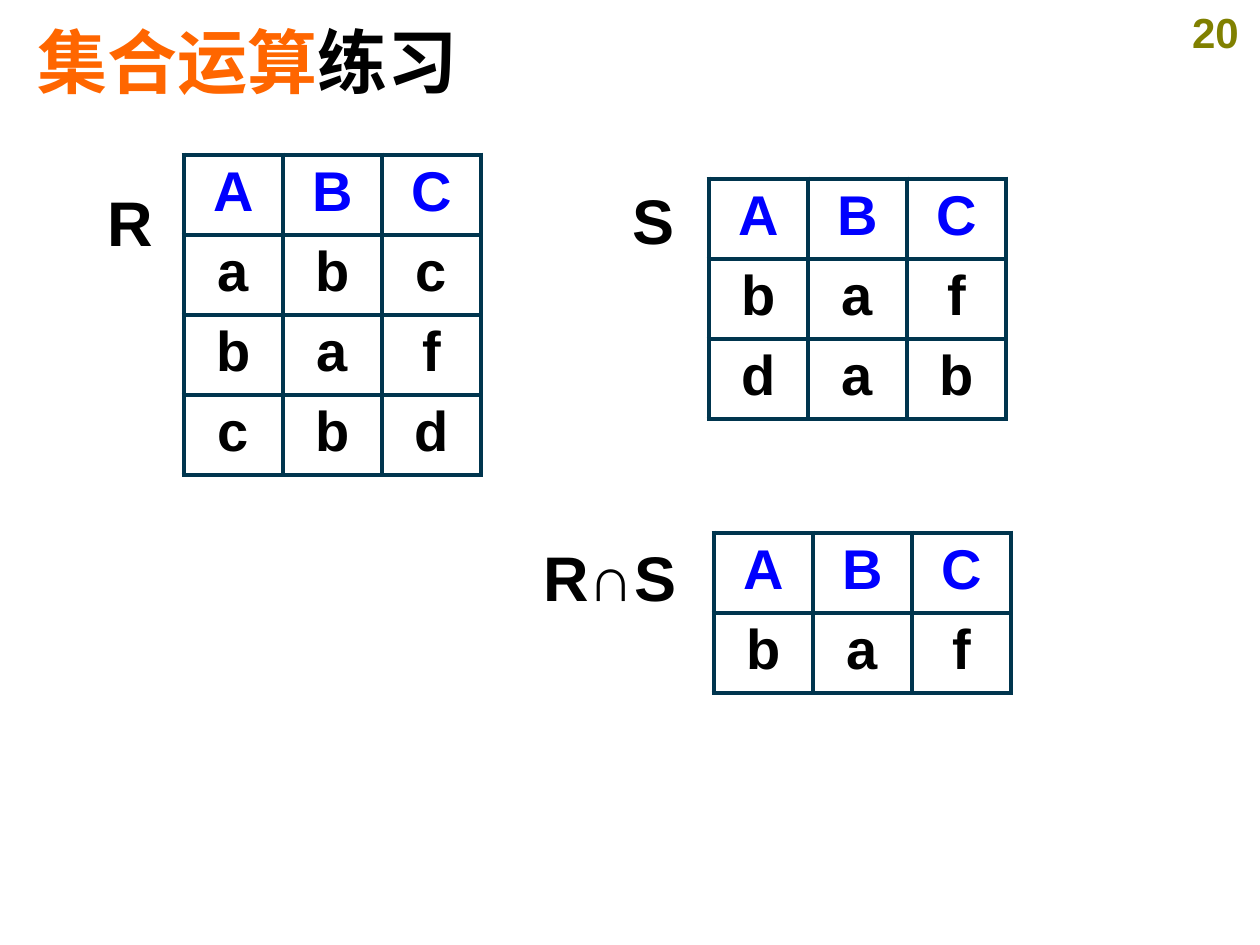
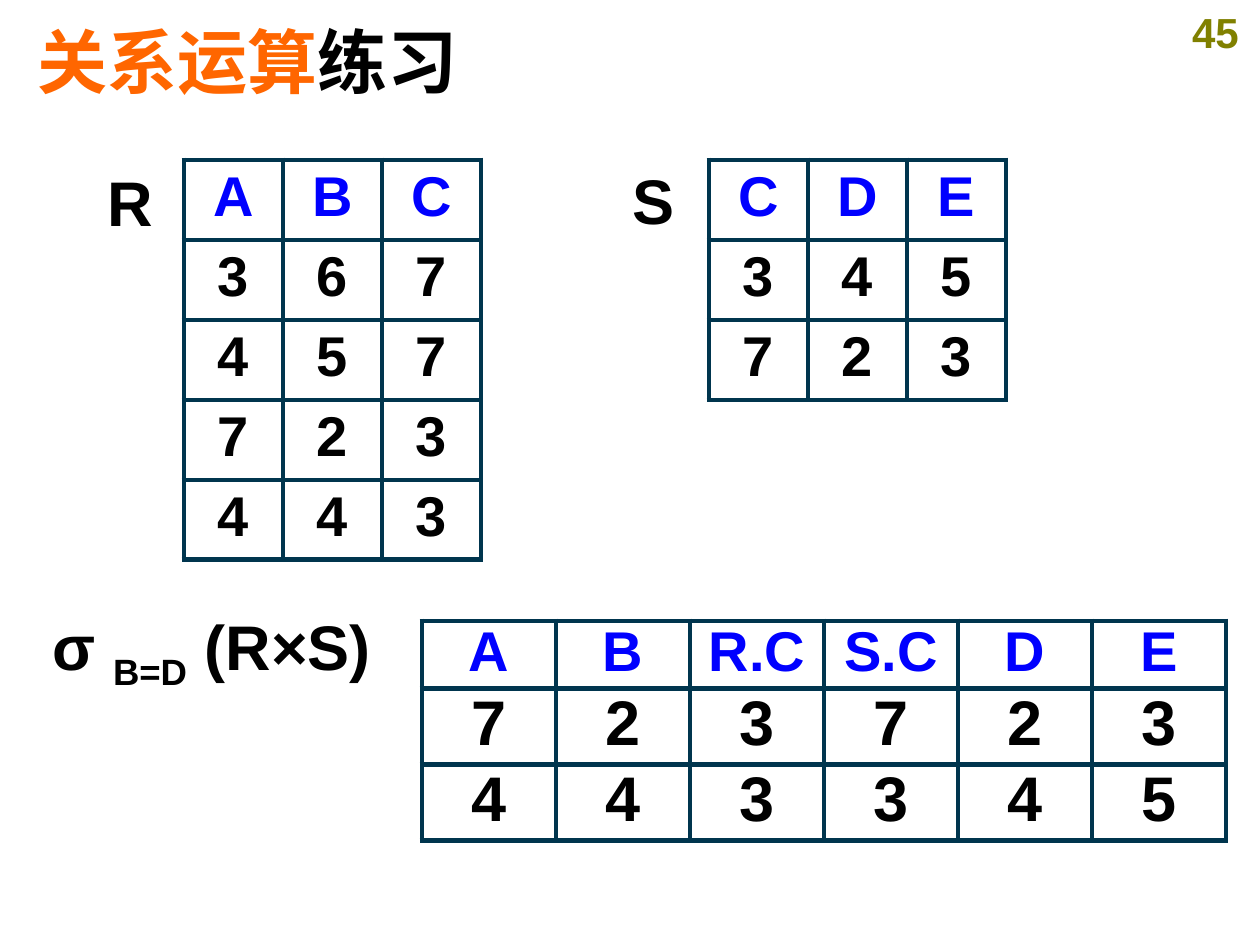
import dataclasses

import pptx
import pptx.dml.color
import pptx.enum.text
import pptx.oxml.ns
import pptx.util
from lxml import etree

PX_PER_INCH = 126
ALIGN = pptx.enum.text.PP_ALIGN
ANCHOR = pptx.enum.text.MSO_ANCHOR
AUTO_SIZE = pptx.enum.text.MSO_AUTO_SIZE


@dataclasses.dataclass(frozen=True)
class Theme:
    font: str = "Arial"
    ink: str = "000000"
    accent: str = "FF6600"
    page_number: str = "808000"
    header: str = "0000FF"
    border: str = "00354E"
    paper: str = "FFFFFF"
    title_size: int = 40
    label_size: int = 36
    cell_size: int = 32
    number_size: int = 24
    border_width: int = 3


def px(length):
    return pptx.util.Emu(round(length * 914400 / PX_PER_INCH))


def write(paragraph, text, *, theme, size, color=None, align=None, baseline=0):
    """Append a bold run; baseline is in percent, negative for a subscript."""
    run = paragraph.add_run()
    run.text = text
    run.font.name = theme.font
    run.font.size = pptx.util.Pt(size)
    run.font.bold = True
    run.font.color.rgb = pptx.dml.color.RGBColor.from_string(color or theme.ink)
    if align is not None:
        paragraph.alignment = align
    if baseline:
        run.font._element.set("baseline", str(baseline * 1000))


def outline_cell(cell, color, width):
    properties = cell._tc.get_or_add_tcPr()
    for index, side in enumerate(("lnL", "lnR", "lnT", "lnB")):
        line = etree.Element(pptx.oxml.ns.qn(f"a:{side}"),
                             w=str(pptx.util.Pt(width)))
        fill = etree.SubElement(line, pptx.oxml.ns.qn("a:solidFill"))
        etree.SubElement(fill, pptx.oxml.ns.qn("a:srgbClr"), val=color)
        properties.insert(index, line)


class Deck:
    def __init__(self, theme):
        self.theme = theme
        self.presentation = pptx.Presentation()
        self.presentation.slide_width = px(1260)
        self.presentation.slide_height = px(945)
        self.slide = None

    def start_slide(self, topic, number):
        layout = self.presentation.slide_layouts[5]
        self.slide = self.presentation.slides.add_slide(layout)
        self.title(topic, "练习")
        self.label(1171, 0, 89, 63, (number, 0), size=self.theme.number_size,
                   color=self.theme.page_number, align=ALIGN.CENTER)

    def title(self, topic, suffix):
        heading = self.slide.shapes.title
        heading.left, heading.top = px(25), px(26)
        heading.width, heading.height = px(1193), px(69)
        frame = heading.text_frame
        frame.auto_size = AUTO_SIZE.NONE
        frame.vertical_anchor = ANCHOR.MIDDLE
        for text, color in ((topic, self.theme.accent), (suffix, self.theme.ink)):
            write(frame.paragraphs[0], text, theme=self.theme, color=color,
                  size=self.theme.title_size, align=ALIGN.LEFT)

    def label(self, left, top, width, height, *parts, size=None, color=None,
              align=ALIGN.LEFT, wrap=True):
        """Place a text box; each part is a text with its baseline shift."""
        box = self.slide.shapes.add_textbox(px(left), px(top), px(width), px(height))
        frame = box.text_frame
        frame.word_wrap = wrap
        for text, baseline in parts:
            write(frame.paragraphs[0], text, theme=self.theme, color=color,
                  size=size or self.theme.label_size, align=align,
                  baseline=baseline)

    def relation_names(self, top):
        self.label(95, top, 70, 88, ("R", 0), wrap=False)
        self.label(620, top - 2, 67, 88, ("S", 0), wrap=False)

    def relation(self, left, top, attributes, *tuples, column=99, header_height=80,
                 row_height=80, value_size=None, margin=6):
        """Draw a table of attributes (header) and tuples (rows)."""
        theme = self.theme
        rows = [attributes, *tuples]
        heights = [header_height] + [row_height] * len(tuples)
        table = self.slide.shapes.add_table(
            len(rows), len(attributes), px(left), px(top),
            px(column * len(attributes)), px(sum(heights))).table
        table.first_row = table.horz_banding = False
        for table_column in table.columns:
            table_column.width = px(column)
        for row, (values, height) in enumerate(zip(rows, heights)):
            table.rows[row].height = px(height)
            size = (value_size if row else None) or theme.cell_size
            for col, value in enumerate(values):
                cell = table.cell(row, col)
                cell.margin_top = cell.margin_bottom = px(margin)
                cell.fill.solid()
                cell.fill.fore_color.rgb = pptx.dml.color.RGBColor.from_string(theme.paper)
                outline_cell(cell, theme.border, theme.border_width)
                write(cell.text_frame.paragraphs[0], value, theme=theme, size=size,
                      color=theme.ink if row else theme.header, align=ALIGN.CENTER)


def set_operations(deck):
    deck.start_slide("集合运算", "20")
    deck.relation_names(177)
    deck.relation(184, 155, "ABC", "abc", "baf", "cbd")
    deck.relation(709, 179, "ABC", "baf", "dab")
    deck.relation(714, 533, "ABC", "baf")
    deck.label(531, 532, 193, 88, ("R∩S", 0))


def relational_operations(deck):
    deck.start_slide("关系运算", "45")
    deck.relation_names(157)
    deck.relation(184, 160, "ABC", "367", "457", "723", "443")
    deck.relation(709, 160, "CDE", "345", "723")
    deck.label(40, 601, 387, 88, ("σ ", 0), ("B=D", -25), (" (R×S)", 0))
    deck.relation(422, 621, ("A", "B", "R.C", "S.C", "D", "E"), "723723", "443345",
                  column=134, header_height=67, row_height=76,
                  value_size=deck.theme.label_size, margin=0)


def main():
    deck = Deck(Theme())
    set_operations(deck)
    relational_operations(deck)
    deck.presentation.save("out.pptx")


if __name__ == "__main__":
    main()
